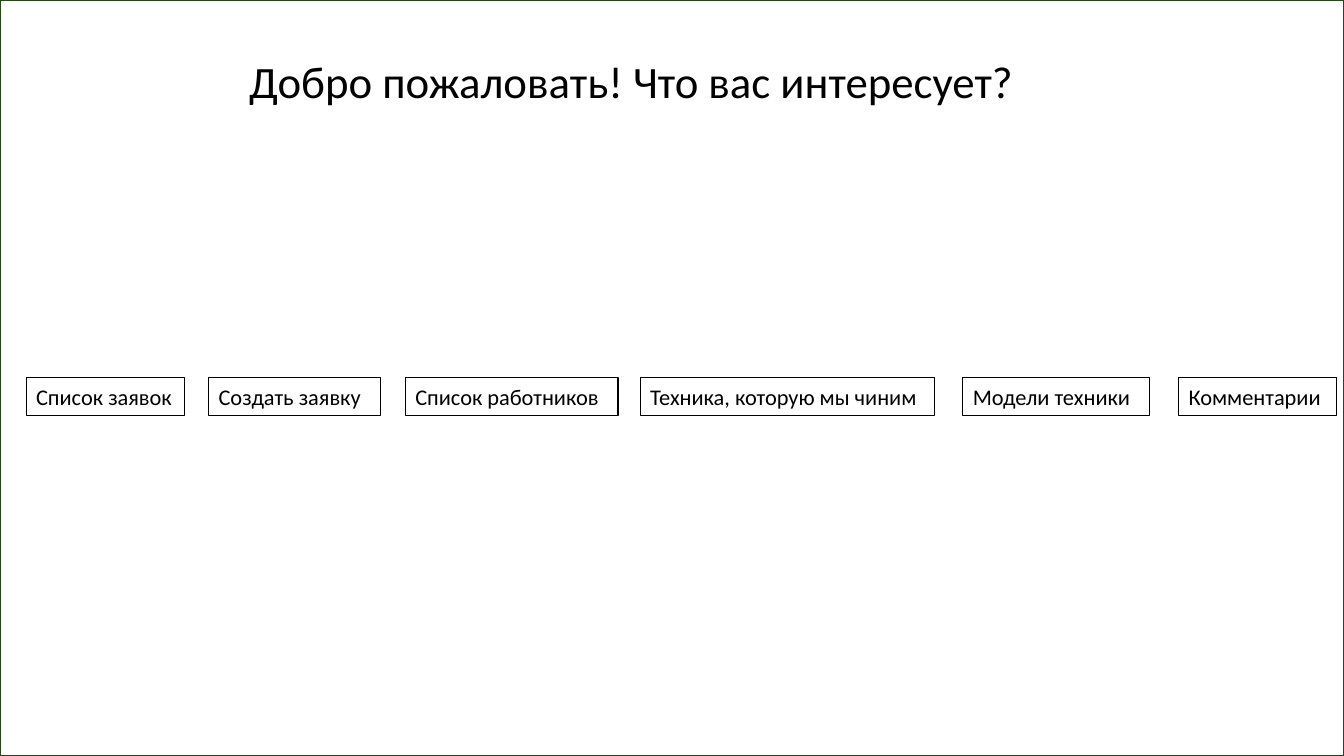
from pptx import Presentation
from pptx.dml.color import RGBColor
from pptx.enum import shapes, text
from pptx.util import Inches, Pt

SLIDE_WIDTH, SLIDE_HEIGHT = 13.33, 7.5
MENU_TOP, MENU_HEIGHT = 3.75, 0.37

# Menu entries: label, left, width
MENU = [
    ("Список заявок", 0.26, 1.57),
    ("Создать заявку", 2.07, 1.7),
    ("Список работников", 4.02, 2.11),
    ("Техника, которую мы чиним", 6.35, 2.92),
    ("Модели техники", 9.55, 1.85),
    ("Комментарии", 11.69, 1.57),
]


def color(hex_string):
    return RGBColor.from_string(hex_string)


def write_text(shape, content, size=16, font="Calibri", fill="000000", right_inset=0.1):
    frame = shape.text_frame
    frame.word_wrap = True
    frame.auto_size = text.MSO_AUTO_SIZE.NONE
    frame.vertical_anchor = text.MSO_ANCHOR.TOP
    frame.margin_left, frame.margin_right = Inches(0.1), Inches(right_inset)
    frame.margin_top = frame.margin_bottom = Inches(0.05)
    paragraph = frame.paragraphs[0]
    paragraph.alignment = text.PP_ALIGN.LEFT
    paragraph.line_spacing = 1.0
    paragraph.space_before = Pt(0)
    run = paragraph.add_run()
    run.text = content
    run.font.size = Pt(size)
    run.font.name = font
    run.font.color.rgb = color(fill)


class WelcomeSlide:
    """Holds the style and the current slide."""

    line_color = "000000"
    frame_color = "224914"

    def __init__(self, presentation):
        self.slide = presentation.slides.add_slide(presentation.slide_layouts[5])

    def title(self, content, left, top, width, height):
        title = self.slide.shapes.title
        title.left, title.top = Inches(left), Inches(top)
        title.width, title.height = Inches(width), Inches(height)
        write_text(title, content, size=32)

    def outline(self, left, top, width, height, line, weight):
        shape = self.slide.shapes.add_shape(
            shapes.MSO_SHAPE.RECTANGLE,
            Inches(left), Inches(top), Inches(width), Inches(height))
        shape.shadow.inherit = False
        shape.fill.background()
        shape.line.color.rgb = color(line)
        shape.line.width = Pt(weight)
        return shape

    def button(self, label, left, width):
        shape = self.outline(left, MENU_TOP, width, MENU_HEIGHT, self.line_color, 0.75)
        write_text(shape, label, right_inset=0.05)

    def frame(self):
        self.outline(0, 0, SLIDE_WIDTH, SLIDE_HEIGHT, self.frame_color, 1.5)


def main():
    presentation = Presentation()
    presentation.slide_width = Inches(SLIDE_WIDTH)
    presentation.slide_height = Inches(SLIDE_HEIGHT)
    welcome = WelcomeSlide(presentation)

    # Heading
    welcome.title("Добро пожаловать! Что вас интересует?", 2.37, 0.48, 7.95, 0.64)

    # Menu row
    for label, left, width in MENU:
        welcome.button(label, left, width)

    # Window border
    welcome.frame()

    presentation.save("out.pptx")


if __name__ == "__main__":
    main()
